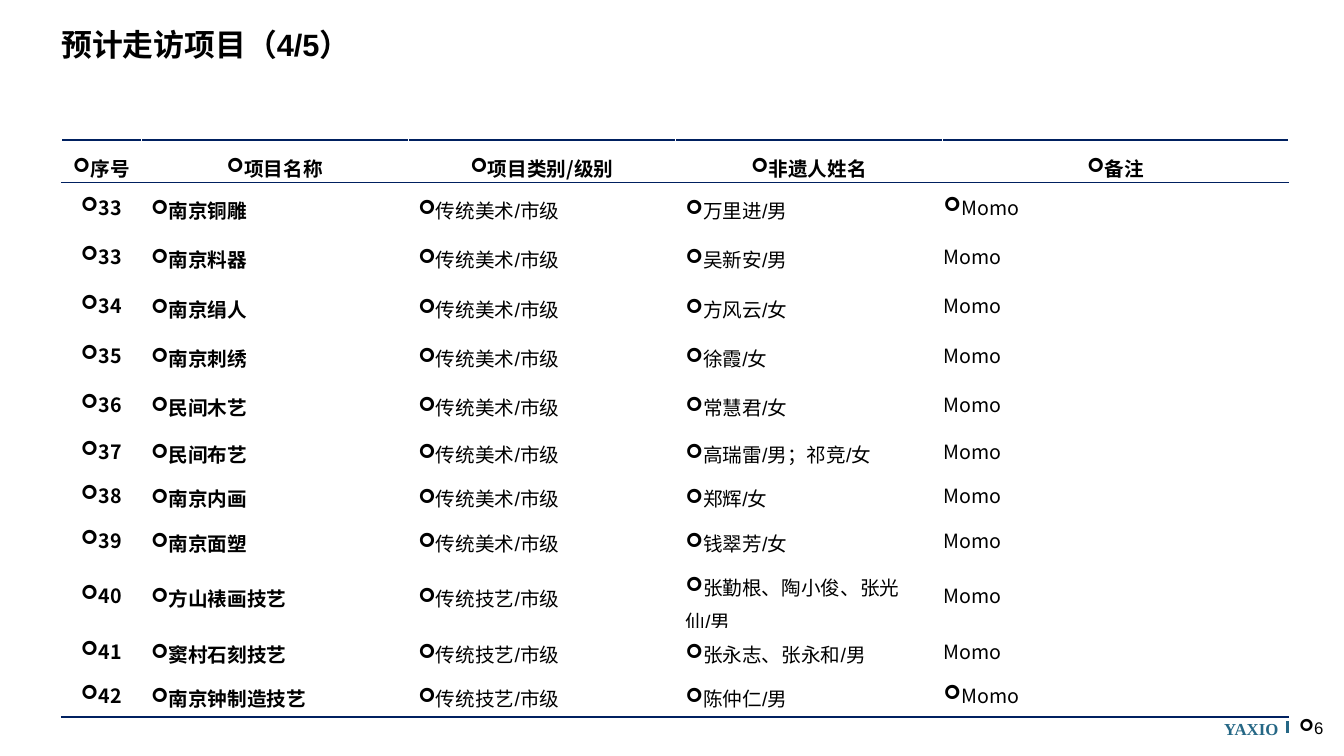
from lxml import etree
from pptx import Presentation
from pptx.dml.color import RGBColor
from pptx.enum.shapes import MSO_CONNECTOR
from pptx.enum.text import MSO_ANCHOR, PP_ALIGN
from pptx.oxml.ns import qn
from pptx.util import Inches, Pt

LEFT, CENTER, RIGHT = PP_ALIGN.LEFT, PP_ALIGN.CENTER, PP_ALIGN.RIGHT
TOP, MIDDLE = MSO_ANCHOR.TOP, MSO_ANCHOR.MIDDLE

SANS, CJK, SERIF = "Arial", "Noto Sans CJK SC", "Times New Roman"
BLACK, WHITE, NAVY, TEAL = "000000", "FFFFFF", "002060", "256785"

TITLE = "预计走访项目（4/5）"
BRAND = "YAXIO"
PAGE = "6"
HEADER = ["序号", "项目名称", "项目类别/级别", "非遗人姓名", "备注"]
ART, CRAFT = "传统美术/市级", "传统技艺/市级"
NOTE = "Momo"
PROJECTS = [
    ("33", "南京铜雕", ART, "万里进/男"),
    ("33", "南京料器", ART, "吴新安/男"),
    ("34", "南京绢人", ART, "方风云/女"),
    ("35", "南京刺绣", ART, "徐霞/女"),
    ("36", "民间木艺", ART, "常慧君/女"),
    ("37", "民间布艺", ART, "高瑞雷/男；祁竞/女"),
    ("38", "南京内画", ART, "郑辉/女"),
    ("39", "南京面塑", ART, "钱翠芳/女"),
    ("40", "方山裱画技艺", CRAFT, "张勤根、陶小俊、张光仙/男"),
    ("41", "窦村石刻技艺", CRAFT, "张永志、张永和/男"),
    ("42", "南京钟制造技艺", CRAFT, "陈仲仁/男"),
]
ROWS = [HEADER] + [(*project, NOTE) for project in PROJECTS]
COL_WIDTHS = [0.79, 2.65, 2.65, 2.65, 3.43]
ROW_HEIGHTS = [0.37] + [0.49] * 5 + [0.44] * 6
LAST_ROW, LAST_COL = len(ROWS) - 1, len(HEADER) - 1


def rgb(color):
    return RGBColor.from_string(color)


def write(tf, text, size, font, color=BLACK, bold=False, align=LEFT,
          spacing=None, bullet=False):
    p = tf.paragraphs[0]
    p.text = text
    p.alignment = align
    if spacing:
        p.line_spacing = spacing
    if bullet:
        pPr = p._p.get_or_add_pPr()
        pPr.set("marL", "0")
        pPr.set("indent", "0")
        etree.SubElement(pPr, qn("a:buFont"), typeface="Wingdings")
        etree.SubElement(pPr, qn("a:buChar"), char="➢")
    r = p.runs[0]
    r.font.name, r.font.size, r.font.bold = font, Pt(size), bold
    r.font.color.rgb = rgb(color)
    latin = r._r.rPr.find(qn("a:latin"))
    latin.addnext(latin.makeelement(qn("a:ea"), {"typeface": CJK}))


def add_text(slide, box, text, size, font, inset=(0, 0), anchor=TOP, **style):
    tf = slide.shapes.add_textbox(*map(Inches, box)).text_frame
    tf.word_wrap = True
    tf.vertical_anchor = anchor
    tf.margin_left = tf.margin_right = Inches(inset[0])
    tf.margin_top = tf.margin_bottom = Inches(inset[1])
    write(tf, text, size, font, **style)


def add_border(cell, side, color, width):
    ln = etree.SubElement(cell._tc.get_or_add_tcPr(), qn(f"a:ln{side}"), w=str(Pt(width)))
    fill = etree.SubElement(ln, qn("a:solidFill"))
    etree.SubElement(fill, qn("a:srgbClr"), val=color)


def frame_cell(cell, row, col):
    """White inner borders; navy rules around the header and below the last row."""
    inner, thick, thin = (WHITE, 1), (NAVY, 1.5), (NAVY, 0.5)
    if col > 0:
        add_border(cell, "L", *inner)
    if col < LAST_COL:
        add_border(cell, "R", *inner)
    add_border(cell, "T", *{0: thick, 1: thin}.get(row, inner))
    add_border(cell, "B", *{0: thin, LAST_ROW: thick}.get(row, inner))
    cell.fill.solid()
    cell.fill.fore_color.rgb = rgb(WHITE)


def fill_cell(cell, row, col):
    edge_col = col in (0, LAST_COL)
    tight = row == 0 or edge_col
    cell.vertical_anchor = MIDDLE
    if tight:
        cell.margin_left = cell.margin_right = Inches(0.01)
        cell.margin_top = cell.margin_bottom = 0
    write(cell.text_frame, ROWS[row][col], 14,
          font=CJK if tight else SANS,
          bold=row == 0 or col < 2,
          align=CENTER if row == 0 or col == 0 else LEFT,
          spacing=Pt(30) if row == 0 else Pt(20) if edge_col else 1.2,
          bullet=col < LAST_COL or row in (0, 1, LAST_ROW))


def add_project_table(slide):
    table = slide.shapes.add_table(
        len(ROWS), len(HEADER), Inches(0.61), Inches(1.39),
        Inches(sum(COL_WIDTHS)), Inches(sum(ROW_HEIGHTS))).table
    table.first_row = table.horz_banding = False
    for column, width in zip(table.columns, COL_WIDTHS):
        column.width = Inches(width)
    for row, height in enumerate(ROW_HEIGHTS):
        table.rows[row].height = Inches(height)
        for col in range(len(HEADER)):
            cell = table.cell(row, col)
            frame_cell(cell, row, col)
            fill_cell(cell, row, col)


def add_footer(slide):
    add_text(slide, (10.91, 7.04, 1.81, 0.32), BRAND, 12, SERIF, inset=(0.04, 0.05),
             color=TEAL, bold=True, align=RIGHT, spacing=1.2)
    x = Inches(12.77)
    divider = slide.shapes.add_connector(
        MSO_CONNECTOR.STRAIGHT, x, Inches(7.27), x, Inches(7.15))
    divider.line.color.rgb = rgb(TEAL)
    divider.line.width = Pt(2.25)
    etree.SubElement(divider._element.spPr, qn("a:effectLst"))
    add_text(slide, (12.81, 7.12, 0.39, 0.2), PAGE, 12, SANS,
             anchor=MIDDLE, align=CENTER, bullet=True)


def main():
    prs = Presentation()
    prs.slide_width, prs.slide_height = Inches(13.33), Inches(7.5)
    slide = prs.slides.add_slide(prs.slide_layouts[6])
    add_footer(slide)
    add_text(slide, (0.61, 0.29, 12.11, 0.79), TITLE, 22, SANS, bold=True, spacing=0.93)
    add_project_table(slide)
    prs.save("out.pptx")


if __name__ == "__main__":
    main()
